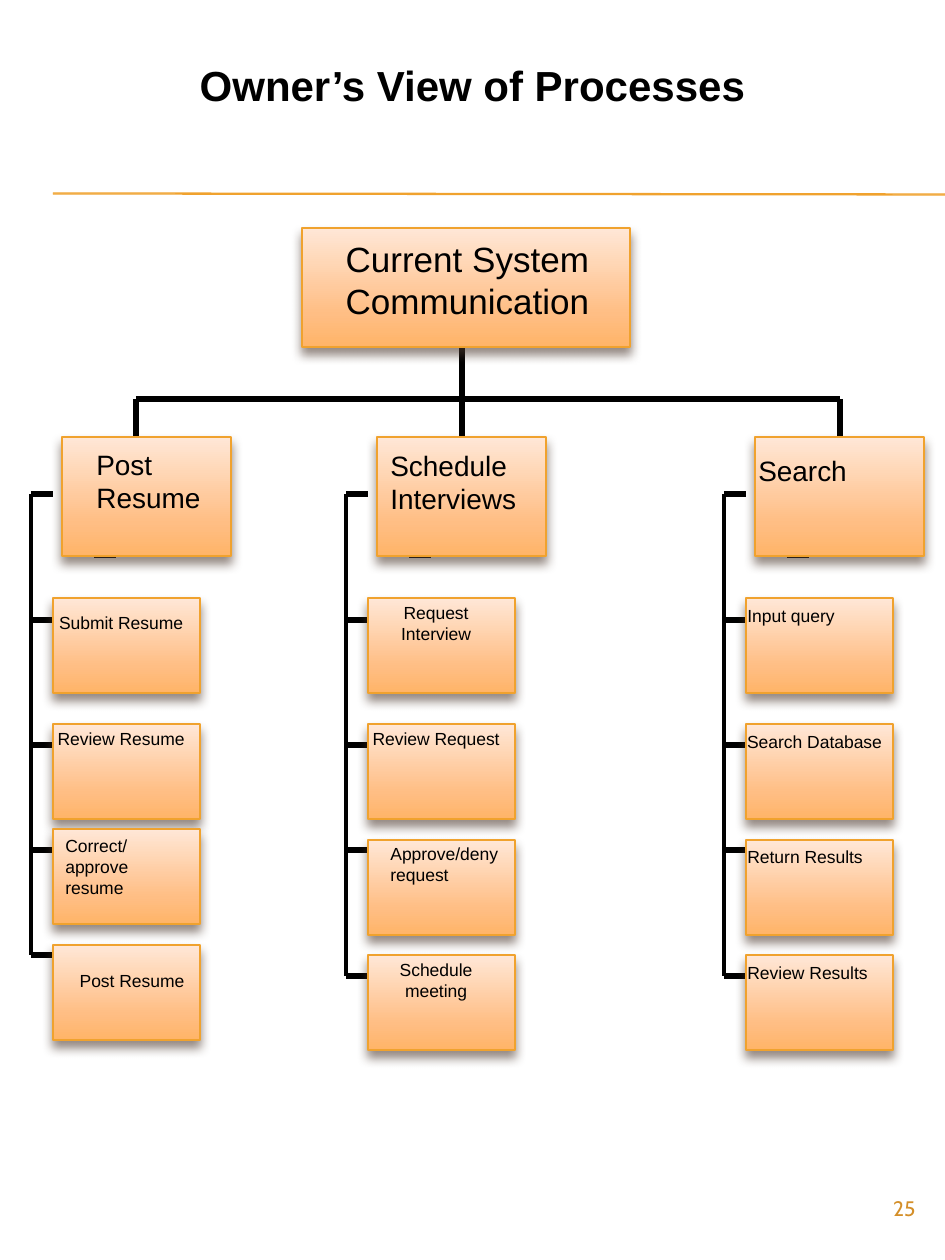
from lxml import etree
from pptx import Presentation
from pptx.dml.color import RGBColor
from pptx.enum.shapes import MSO_CONNECTOR, MSO_SHAPE
from pptx.enum.text import MSO_AUTO_SIZE, PP_ALIGN
from pptx.oxml import parse_xml
from pptx.oxml.ns import nsdecls, qn
from pptx.util import Pt

LEFT, CENTER, RIGHT = PP_ALIGN.LEFT, PP_ALIGN.CENTER, PP_ALIGN.RIGHT
STRAIGHT, RECTANGLE = MSO_CONNECTOR.STRAIGHT, MSO_SHAPE.RECTANGLE
FIT_TEXT = MSO_AUTO_SIZE.SHAPE_TO_FIT_TEXT

PX_PER_INCH = 126
ORANGE, BLACK = "F0A22E", "000000"
GRADIENT = ((0, "FFE7D7"), (72, "FFBE84"), (100, "FFB468"))
BUS_Y = 399
STEP_SIZE = (147, 95)

# Each column: left offset, heading (text, x, y, width), centre of its drop line,
# and steps (box top, branch y, text, text x, y, width, height, alignment).
# All x values inside a column are relative to its offset.
COLUMNS = [
    (0, ("Post Resume", 84, 441, 147), 136, [
        (598, 620, "Submit Resume", 42, 606, 158, 34, CENTER),
        (724, 745, "Review Resume", 42, 722, 158, 34, CENTER),
        (829, 850, "Correct/ approve resume", 53, 829, 126, 77, LEFT),
        (945, 955, "Post Resume", 53, 964, 158, 34, CENTER),
    ]),
    (315, ("Schedule Interviews", 63, 442, 168), 147, [
        (598, 620, "Request Interview", 42, 596, 158, 55, CENTER),
        (724, 745, "Review Request", 42, 722, 158, 34, CENTER),
        (840, 850, "Approve/deny request", 63, 837, 147, 55, LEFT),
        (955, 976, "Schedule meeting", 42, 953, 158, 55, CENTER),
    ]),
    (693, ("Search", 53, 447, 199), 147, [
        (598, 620, "Input query", 42, 599, 199, 34, LEFT),
        (724, 745, "Search Database", 32, 725, 179, 34, CENTER),
        (840, 850, "Return Results", 42, 840, 189, 34, LEFT),
        (955, 976, "Review Results", 42, 956, 158, 34, LEFT),
    ]),
]


def px(value):
    return round(value * 914400 / PX_PER_INCH)


def color(hex_string):
    return RGBColor.from_string(hex_string)


def add_line(slide, x1, y1, x2, y2, width=3, line_color=BLACK):
    line = slide.shapes.add_connector(STRAIGHT, px(x1), px(y1), px(x2), px(y2))
    line.line.width = Pt(width)
    line.line.color.rgb = color(line_color)
    etree.SubElement(line._element.spPr, qn("a:effectLst"))


def add_box(slide, x, y, width, height):
    box = slide.shapes.add_shape(RECTANGLE, px(x), px(y), px(width), px(height))
    stops = "".join(
        f'<a:gs pos="{position * 1000}"><a:srgbClr val="{stop}"/></a:gs>'
        for position, stop in GRADIENT)
    properties = box._element.spPr
    properties.find(qn("a:prstGeom")).addnext(parse_xml(
        f'<a:gradFill {nsdecls("a")} rotWithShape="1"><a:gsLst>{stops}</a:gsLst>'
        '<a:lin ang="5400000" scaled="0"/></a:gradFill>'))
    box.line.color.rgb = color(ORANGE)
    box.line.width = Pt(0.79)
    box.shadow.inherit = False
    properties.find(qn("a:effectLst")).append(parse_xml(
        f'<a:outerShdw {nsdecls("a")} blurRad="{Pt(6)}" dist="{Pt(4)}" '
        'dir="5400000" rotWithShape="0"><a:srgbClr val="4E3B30">'
        '<a:alpha val="60000"/></a:srgbClr></a:outerShdw>'))


def add_text(slide, text, x, y, width, height, size, align=LEFT,
             font_name="Arial", font_color=BLACK, bold=False):
    label = slide.shapes.add_textbox(px(x), px(y), px(width), px(height))
    frame = label.text_frame
    frame.word_wrap = True
    frame.auto_size = FIT_TEXT
    frame.text = text
    paragraph = frame.paragraphs[0]
    paragraph.alignment = align
    font = paragraph.runs[0].font
    font.name, font.size, font.bold = font_name, Pt(size), bold
    font.color.rgb = color(font_color)


def add_column(slide, offset, heading, steps):
    spine_x, box_x = offset + 31, offset + 53
    branches = [494] + [step[1] for step in steps]

    # Spine and branches
    for y in branches:
        add_line(slide, spine_x, y, box_x, y)
    add_line(slide, spine_x, branches[0], spine_x, branches[-1], 2)
    add_line(slide, offset + 94, 557, offset + 116, 557, 0.75)

    # Heading
    text, x, y, width = heading
    add_box(slide, offset + 62, 437, 169, 119)
    add_text(slide, text, offset + x, y, width, 81, 16)

    # Steps
    for top, _, text, x, y, width, height, align in steps:
        add_box(slide, box_x, top, *STEP_SIZE)
        add_text(slide, text, offset + x, y, width, height, 10, align)


def main():
    deck = Presentation()
    deck.slide_width, deck.slide_height = px(945), px(1260)
    slide = deck.slides.add_slide(deck.slide_layouts[6])

    # Title, double rule and page number
    for y in (193, 194):
        add_line(slide, 53, y, 945, y + 1, 0.75, ORANGE)
    add_text(slide, "Owner’s View of Processes", 0, 53, 945, 63, 24, CENTER, bold=True)
    add_text(slide, "25", 850, 1189, 78, 45, 12, RIGHT, "Cabin", "D48F29")

    # Links from the root to the columns
    drops = [offset + center for offset, _, center, _ in COLUMNS]
    add_line(slide, drops[1], 347, drops[1], BUS_Y)
    add_line(slide, drops[0], BUS_Y, drops[-1], BUS_Y)
    for x in drops:
        add_line(slide, x, BUS_Y, x, 441)

    # Root
    add_box(slide, 302, 228, 328, 119)
    add_text(slide, "Current System Communication", 305, 231, 325, 97, 20, CENTER)

    for offset, heading, _, steps in COLUMNS:
        add_column(slide, offset, heading, steps)

    deck.save("out.pptx")


if __name__ == "__main__":
    main()
